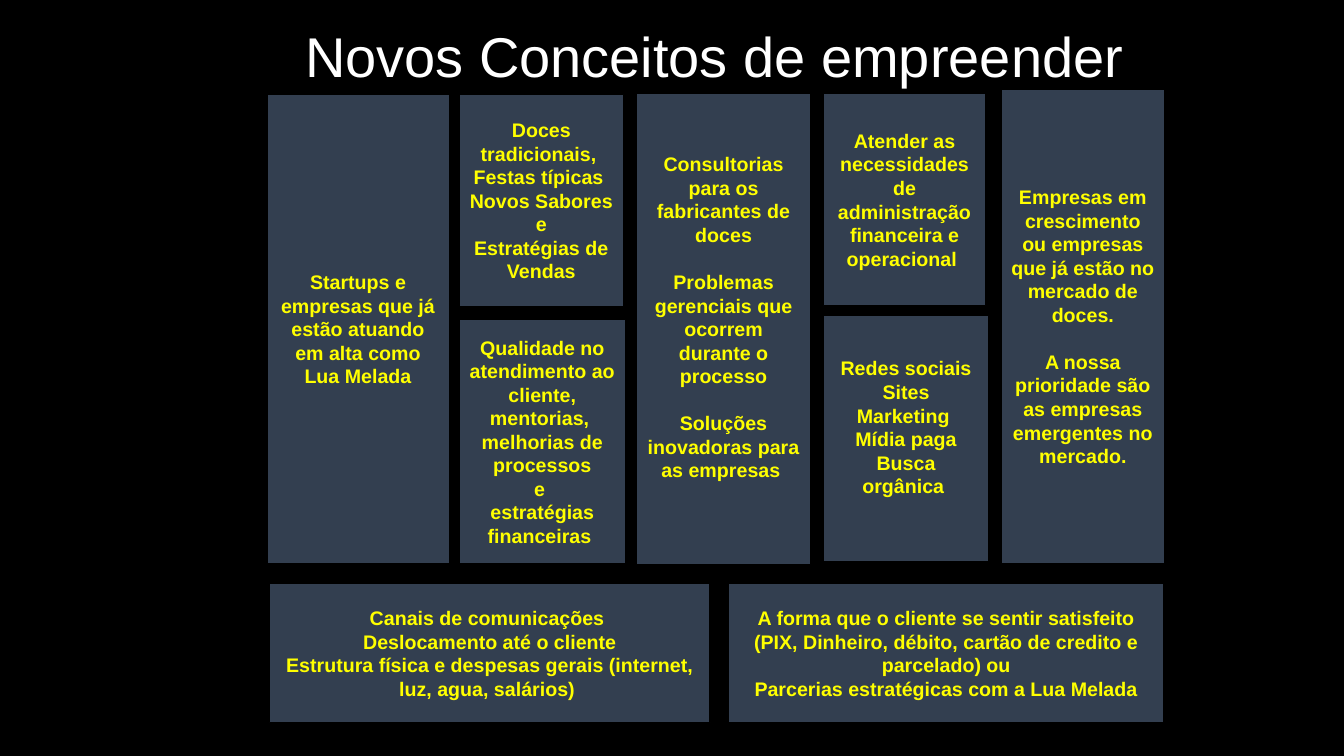
import pptx
import pptx.util
import pptx.dml.color
import pptx.enum.shapes
import pptx.enum.text

Pt = pptx.util.Pt

TITLE = "Novos Conceitos de empreender"
TITLE_BOX = (180, 11.5, 660, 55.4)
BLACK, SLATE, YELLOW, WHITE = "000000", "333F50", "FFFF00", "FFFFFF"
FONT = "Arial"
LINE = 16.8
INSET = 3.6

# left, top, width, height, blank lines below the text, groups of paragraphs
CARDS = [
    (190.6, 67.3, 130.3, 335.2, 0, [
        ["Startups e empresas que já estão atuando em alta como Lua Melada"]]),
    (328, 67.3, 117.4, 151.9, 0, [
        ["Doces tradicionais, ", "Festas típicas ", "Novos Sabores ", "e",
         "Estratégias de Vendas"]]),
    (454.8, 66.5, 124.2, 336.7, 1, [
        ["Consultorias para os fabricantes de doces"],
        ["Problemas gerenciais que ocorrem durante o processo"],
        ["Soluções inovadoras para as empresas "]]),
    (588.2, 66.5, 115.9, 151.9, 0, [
        ["Atender as necessidades de administração financeira e operacional "]]),
    (715.2, 63.7, 116.6, 338.8, 0, [
        ["Empresas em crescimento ou empresas que já estão no mercado de doces."],
        ["A nossa prioridade são as empresas emergentes no mercado."]]),
    (328, 228.2, 118.8, 174.2, 0, [
        ["Qualidade no atendimento ao cliente,", "mentorias, ",
         "melhorias de processos", "e ", "estratégias financeiras "]]),
    (588.2, 225.4, 118, 176, 1, [
        ["Redes sociais", "Sites", "Marketing ", "Mídia paga", "Busca orgânica "]]),
    (192.5, 416.9, 314.8, 99.4, 0, [
        ["Canais de comunicações ", "Deslocamento até o cliente",
         "Estrutura física e despesas gerais (internet, luz, agua, salários) "]]),
    (520.4, 416.9, 311, 99.6, 0, [
        ["A forma que o cliente se sentir satisfeito (PIX, Dinheiro, débito, "
         "cartão de credito e parcelado) ou",
         "Parcerias estratégicas com a Lua Melada"]]),
]


def color(hex_value):
    return pptx.dml.color.RGBColor.from_string(hex_value)


def write(paragraph, text, size, hex_value, bold):
    paragraph.text = text
    paragraph.alignment = pptx.enum.text.PP_ALIGN.CENTER
    paragraph.font.name = FONT
    paragraph.font.size = Pt(size)
    paragraph.font.bold = bold
    paragraph.font.color.rgb = color(hex_value)


def add_card(slide, left, top, width, height, blank_lines, groups):
    card = slide.shapes.add_shape(
        pptx.enum.shapes.MSO_SHAPE.RECTANGLE,
        Pt(left), Pt(top), Pt(width), Pt(height))
    card.shadow.inherit = False
    card.fill.solid()
    card.fill.fore_color.rgb = color(SLATE)
    card.line.color.rgb = color(BLACK)
    card.line.width = Pt(1)
    frame = card.text_frame
    frame.word_wrap = True
    frame.vertical_anchor = pptx.enum.text.MSO_ANCHOR.MIDDLE
    frame.margin_bottom = Pt(INSET + blank_lines * LINE)
    paragraph = frame.paragraphs[0]
    for group_index, group in enumerate(groups):
        for line_index, text in enumerate(group):
            if group_index or line_index:
                paragraph = frame.add_paragraph()
            write(paragraph, text, 14, YELLOW, True)
            if group_index and line_index == 0:
                paragraph.space_before = Pt(LINE)


def main():
    deck = pptx.Presentation()
    deck.slide_width, deck.slide_height = Pt(960), Pt(540)
    slide = deck.slides.add_slide(deck.slide_layouts[6])
    slide.background.fill.solid()
    slide.background.fill.fore_color.rgb = color(BLACK)
    for card in CARDS:
        add_card(slide, *card)
    title = slide.shapes.add_textbox(*map(Pt, TITLE_BOX))
    title.text_frame.word_wrap = True
    write(title.text_frame.paragraphs[0], TITLE, 40, WHITE, False)
    deck.save("out.pptx")


if __name__ == "__main__":
    main()
